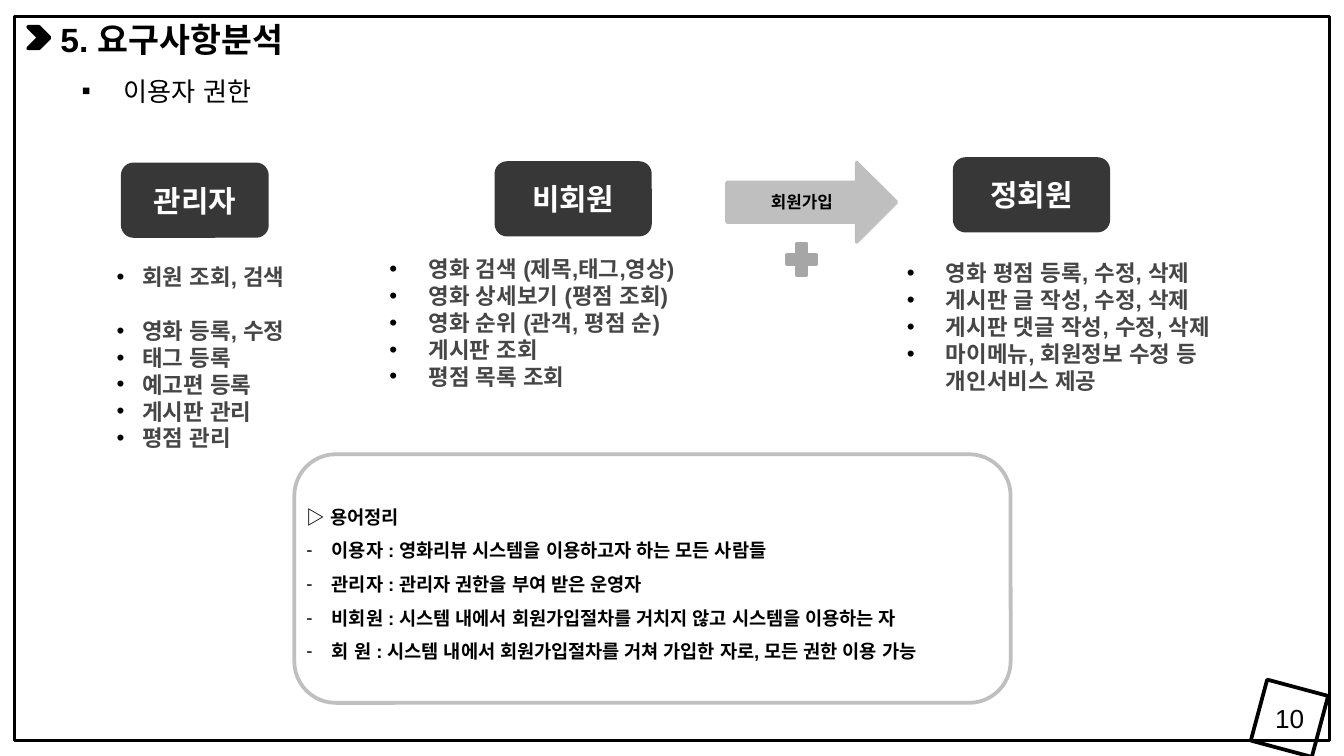
from lxml import etree
from pptx import Presentation
from pptx.dml.color import RGBColor
from pptx.enum import shapes, text
from pptx.oxml import ns
from pptx.util import Inches, Pt

COLORS = {"black": "000000", "white": "FFFFFF", "box": "373737",
          "body": "464646", "silver": "BFBFBF", "plus": "A6A6A6"}
MSO = shapes.MSO_SHAPE


def write(sp, lines, size, color, bold=True, font="Arial", align="LEFT", anchor="TOP",
          inset=None, bullet=None, margin=0, hang=0, first=0, spacing=None, wrap=True):
    """Fill a shape with paragraphs; those from number `first` on get the bullet."""
    tf = sp.text_frame
    tf.word_wrap = wrap
    tf.auto_size = text.MSO_AUTO_SIZE.NONE
    tf.vertical_anchor = getattr(text.MSO_ANCHOR, anchor)
    if inset is not None:
        tf.margin_left = tf.margin_right = tf.margin_top = tf.margin_bottom = Inches(inset)
    for i, line in enumerate(lines):
        p = tf.paragraphs[0] if i == 0 else tf.add_paragraph()
        p.text = line
        p.alignment = getattr(text.PP_ALIGN, align)
        if spacing:
            p.line_spacing = spacing
        if bullet and i >= first:
            pPr = p._p.get_or_add_pPr()
            pPr.set("marL", str(Inches(margin)))
            pPr.set("indent", str(-Inches(hang)))
            clr = etree.SubElement(pPr, ns.qn("a:buClr"))
            etree.SubElement(clr, ns.qn("a:srgbClr"), val=COLORS["black"])
            etree.SubElement(pPr, ns.qn("a:buFont"), typeface="Arial")
            etree.SubElement(pPr, ns.qn("a:buChar"), char=bullet)
        for r in p.runs:
            r.font.size = Pt(size)
            r.font.bold = bold
            r.font.name = font
            r.font.color.rgb = RGBColor.from_string(COLORS[color])
            etree.SubElement(r._r.get_or_add_rPr(), ns.qn("a:ea"), typeface="Arial")


def add_shape(parent, kind, box, fill=None, line=None, width=2):
    sp = parent.add_shape(kind, *map(Inches, box))
    sp.shadow.inherit = False
    if fill:
        sp.fill.solid()
        sp.fill.fore_color.rgb = RGBColor.from_string(COLORS[fill])
    else:
        sp.fill.background()
    if line:
        sp.line.color.rgb = RGBColor.from_string(COLORS[line])
        sp.line.width = Pt(width)
    else:
        sp.line.fill.background()
    return sp


# Widescreen 16:9 slide
prs = Presentation()
prs.slide_width = Inches(10)
prs.slide_height = Inches(10 * 9 / 16)
s = prs.slides.add_slide(prs.slide_layouts[5])

# Page frame
add_shape(s.shapes, MSO.RECTANGLE, (0.11, 0.12, 9.78, 5.39), line="black", width=1.5)

# Title and its marker
title = s.shapes.title
title.left, title.top, title.width, title.height = map(Inches, (0.35, 0.09, 5.13, 0.4))
write(title, ["5. 요구사항분석"], 18, "black")
add_shape(s.shapes, MSO.CHEVRON, (0.21, 0.2, 0.16, 0.16), "black", "black")

# Subtitle
subtitle = s.shapes.add_textbox(*map(Inches, (0.51, 0.51, 1.56, 0.34)))
write(subtitle, ["이용자 권한"], 14, "black", bold=False, font="Noto Sans CJK KR",
      bullet="▪", margin=0.31, hang=0.31, wrap=False)

# User roles: box, list position, bullet margin and hang, permissions
roles = [
    ("관리자", (0.9, 1.21, 1.1, 0.56), (0.77, 1.91, 1.56, 1.51), 0.19, 0.19,
     ["회원 조회, 검색", "영화 등록, 수정", "태그 등록", "예고편 등록", "게시판 관리", "평점 관리"]),
    ("비회원", (3.68, 1.2, 1.17, 0.56), (2.73, 1.85, 2.72, 1.11), 0.36, 0.29,
     ["영화 검색 (제목,태그,영상)", "영화 상세보기 (평점 조회)", "영화 순위 (관객, 평점 순)",
      "게시판 조회", "평점 목록 조회"]),
    ("정회원", (7.09, 1.17, 1.17, 0.56), (6.58, 1.88, 2.85, 1.11), 0.36, 0.29,
     ["영화 평점 등록, 수정, 삭제", "게시판 글 작성, 수정, 삭제", "게시판 댓글 작성, 수정, 삭제",
      "마이메뉴, 회원정보 수정 등\v개인서비스 제공"]),
]
for name, box, list_box, margin, hang, permissions in roles:
    sp = add_shape(s.shapes, MSO.ROUNDED_RECTANGLE, box, "box")
    write(sp, [name], 16, "white", align="CENTER", anchor="MIDDLE", inset=0)
    tb = s.shapes.add_textbox(*map(Inches, list_box))
    write(tb, permissions, 12, "body", bullet="•", margin=margin, hang=hang)
    if name == "관리자":
        tb.text_frame.paragraphs[0].space_after = Pt(14.4)

# Sign-up arrow and plus sign
arrow = add_shape(s.shapes, MSO.RIGHT_ARROW, (5.41, 1.21, 1.26, 0.59), "silver", "silver")
write(arrow, ["회원가입"], 9, "black", align="CENTER", anchor="MIDDLE")
add_shape(s.shapes, MSO.MATH_PLUS, (5.82, 1.77, 0.29, 0.32), "plus", "plus")

# Glossary
glossary = add_shape(s.shapes, MSO.ROUNDED_RECTANGLE, (2.19, 3.38, 5.33, 1.85),
                     "white", "silver")
white = glossary.fill._xPr.find(".//" + ns.qn("a:srgbClr"))
etree.SubElement(white, ns.qn("a:alpha"), val="30000")
terms = [
    "▷ 용어정리",
    "이용자 : 영화리뷰 시스템을 이용하고자 하는 모든 사람들",
    "관리자 : 관리자 권한을 부여 받은 운영자",
    "비회원 : 시스템 내에서 회원가입절차를 거치지 않고 시스템을 이용하는 자",
    "회 원 : 시스템 내에서 회원가입절차를 거쳐 가입한 자로, 모든 권한 이용 가능",
]
write(glossary, terms, 10, "black", anchor="MIDDLE", inset=0,
      bullet="-", margin=0.19, hang=0.19, first=1, spacing=1.5)

# Page number on a tilted square
page = s.shapes.add_group_shape()
square = add_shape(page.shapes, MSO.RECTANGLE, (9.36, 5.11, 0.47, 0.47), line="black")
square.rotation = 15
number = page.shapes.add_textbox(*map(Inches, (9.34, 5.17, 0.51, 0.34)))
write(number, ["10"], 14, "black", bold=False, align="CENTER", anchor="MIDDLE")

prs.save("out.pptx")
